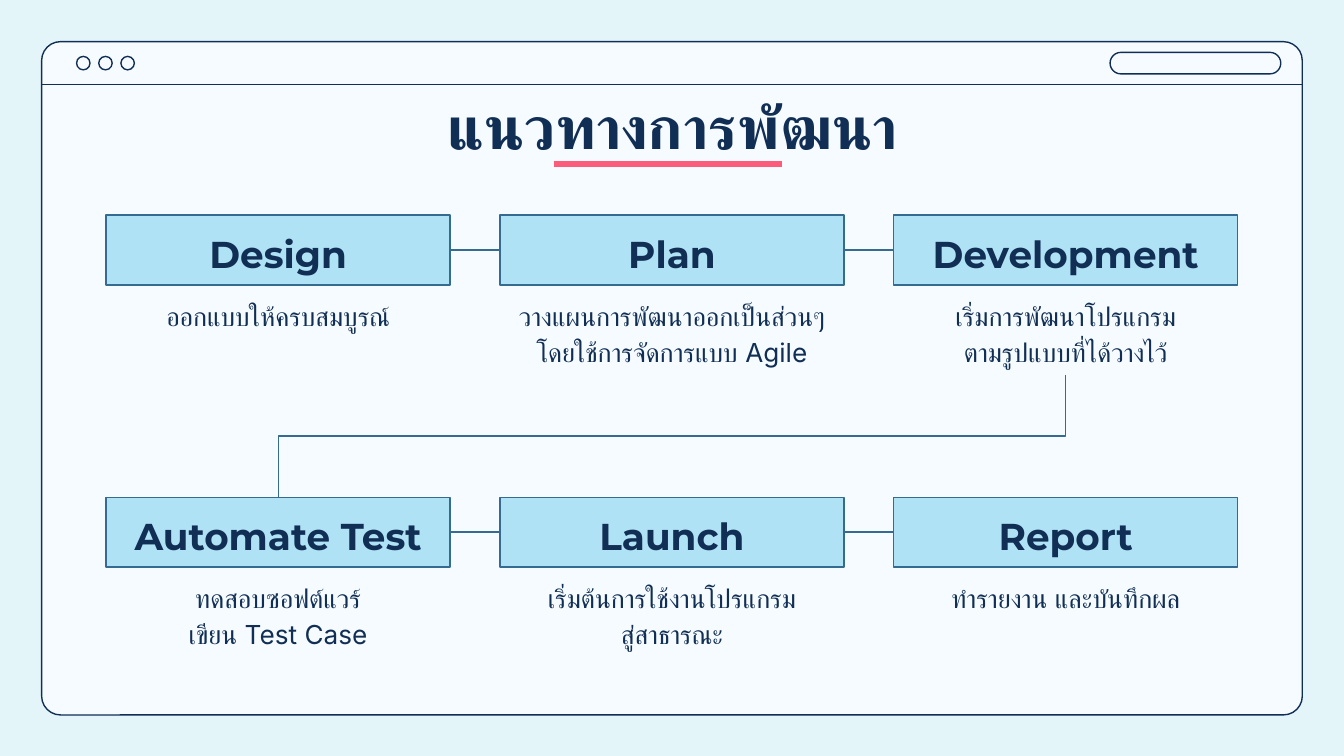
"""Builds a browser-window slide with a six-step development process."""
from lxml import etree
from pptx import Presentation
from pptx.dml.color import RGBColor
from pptx.enum.shapes import MSO_CONNECTOR, MSO_SHAPE
from pptx.enum.text import MSO_ANCHOR, PP_ALIGN
from pptx.oxml.ns import qn
from pptx.util import Inches, Pt

RECTANGLE, ROUNDED, OVAL = MSO_SHAPE.RECTANGLE, MSO_SHAPE.ROUNDED_RECTANGLE, MSO_SHAPE.OVAL
STRAIGHT, ELBOW = MSO_CONNECTOR.STRAIGHT, MSO_CONNECTOR.ELBOW
TOP, MIDDLE, CENTER = MSO_ANCHOR.TOP, MSO_ANCHOR.MIDDLE, PP_ALIGN.CENTER

TITLE = "แนวทางการพัฒนา"
STEPS = [
    ("Design", ["ออกแบบให้ครบสมบูรณ์"]),
    ("Plan", ["วางแผนการพัฒนาออกเป็นส่วนๆ โดยใช้การจัดการแบบ Agile"]),
    ("Development", ["เริ่มการพัฒนาโปรแกรม", "ตามรูปแบบที่ได้วางไว้"]),
    ("Automate Test", ["ทดสอบซอฟต์แวร์\nเขียน Test Case"]),
    ("Launch", ["เริ่มต้นการใช้งานโปรแกรม", "สู่สาธารณะ"]),
    ("Report", ["ทำรายงาน และบันทึกผล"]),
]

NAVY, BLUE, SKY, PINK = "112E54", "356B90", "AEE2F4", "FD5B7B"
PALE, WINDOW = "E4F5FA", "F5FBFF"
TITLE_FORMAT = {"name": "Karla", "size": Pt(32), "bold": True}
HEADING_FORMAT = {"name": "Montserrat", "size": Pt(20), "bold": True}
BODY_FORMAT = {"name": "Inter", "size": Pt(14), "bold": False}

WIDTH = 10
HEIGHT = WIDTH * 9 / 16
MARGIN = 0.31
BAR_Y = 0.63
COLUMNS = 3
GRID_LEFT, GRID_TOP = 0.79, 1.6
COLUMN_STEP, ROW_STEP = 2.93, 2.1
BOX_WIDTH, BOX_HEIGHT = 2.56, 0.52
NOTE_OFFSET, NOTE_HEIGHT = 0.5, 0.69


def color(value):
    return RGBColor.from_string(value)


def add_box(slide, kind, place, fill=None, line=NAVY):
    shape = slide.shapes.add_shape(kind, *map(Inches, place))
    shape.shadow.inherit = False
    if fill:
        shape.fill.solid()
        shape.fill.fore_color.rgb = color(fill)
    else:
        shape.fill.background()
    shape.line.color.rgb = color(line)
    shape.line.width = Pt(0.75)
    return shape


def add_line(slide, kind, start, end, line, width=0.75):
    connector = slide.shapes.add_connector(kind, *map(Inches, (*start, *end)))
    connector.line.color.rgb = color(line)
    connector.line.width = Pt(width)
    etree.SubElement(connector._element.spPr, qn("a:effectLst"))
    return connector


def write(shape, texts, font_format, anchor=TOP, spacing=1.15):
    frame = shape.text_frame
    frame.word_wrap = True
    frame.vertical_anchor = anchor
    for side in ("left", "top", "right", "bottom"):
        setattr(frame, f"margin_{side}", Inches(0.1))
    for index, text in enumerate(texts):
        paragraph = frame.add_paragraph() if index else frame.paragraphs[0]
        paragraph.text = text
        paragraph.alignment = CENTER
        paragraph.line_spacing = spacing
        for run in paragraph.runs:
            run.font.color.rgb = color(NAVY)
            for name, value in font_format.items():
                setattr(run.font, name, value)
            for tag in ("a:ea", "a:cs"):
                etree.SubElement(run.font._element, qn(tag), typeface=font_format["name"])


def add_text(slide, place, texts, font_format, spacing=1.15):
    write(slide.shapes.add_textbox(*map(Inches, place)), texts, font_format, spacing=spacing)


def add_window(slide):
    frame = add_box(slide, ROUNDED, (MARGIN, MARGIN, WIDTH - 2 * MARGIN, 5.01), WINDOW)
    frame.adjustments[0] = 0.028
    for index in range(3):
        add_box(slide, OVAL, (0.57 + index * 0.165, 0.42, 0.1, 0.1))
    address = add_box(slide, ROUNDED, (8.26, 0.39, 1.27, 0.16))
    address.adjustments[0] = 0.5
    add_line(slide, STRAIGHT, (MARGIN, BAR_Y), (WIDTH - MARGIN, BAR_Y), NAVY)


def add_steps(slide):
    for index, (heading, notes) in enumerate(STEPS):
        row, column = divmod(index, COLUMNS)
        left = GRID_LEFT + column * COLUMN_STEP
        top = GRID_TOP + row * ROW_STEP
        add_text(slide, (left, top + NOTE_OFFSET, BOX_WIDTH, NOTE_HEIGHT), notes, BODY_FORMAT)
        box = add_box(slide, RECTANGLE, (left, top, BOX_WIDTH, BOX_HEIGHT), SKY, BLUE)
        write(box, [heading], HEADING_FORMAT, MIDDLE)
        if column < COLUMNS - 1:
            middle = top + BOX_HEIGHT / 2
            add_line(slide, ELBOW, (left + BOX_WIDTH, middle), (left + COLUMN_STEP, middle), BLUE)


def add_row_link(slide):
    span = (COLUMNS - 1) * COLUMN_STEP
    upper = GRID_TOP + NOTE_OFFSET + NOTE_HEIGHT
    lower = GRID_TOP + ROW_STEP
    center_x = GRID_LEFT + (BOX_WIDTH + span) / 2
    center_y = (upper + lower) / 2
    half_drop, half_span = (lower - upper) / 2, span / 2
    link = add_line(slide, ELBOW, (center_x - half_drop, center_y - half_span),
                    (center_x + half_drop, center_y + half_span), BLUE)
    link._element.spPr.find(qn("a:xfrm")).set("rot", str(90 * 60000))


def main():
    presentation = Presentation()
    presentation.slide_width, presentation.slide_height = Inches(WIDTH), Inches(HEIGHT)
    slide = presentation.slides.add_slide(presentation.slide_layouts[6])
    slide.background.fill.solid()
    slide.background.fill.fore_color.rgb = color(PALE)
    add_window(slide)
    add_text(slide, (GRID_LEFT, 0.57, 8.43, 0.63), [TITLE], TITLE_FORMAT, 1)
    add_steps(slide)
    add_row_link(slide)
    add_line(slide, STRAIGHT, (4.12, 1.22), (5.82, 1.22), PINK, 3)
    presentation.save("out.pptx")


if __name__ == "__main__":
    main()
